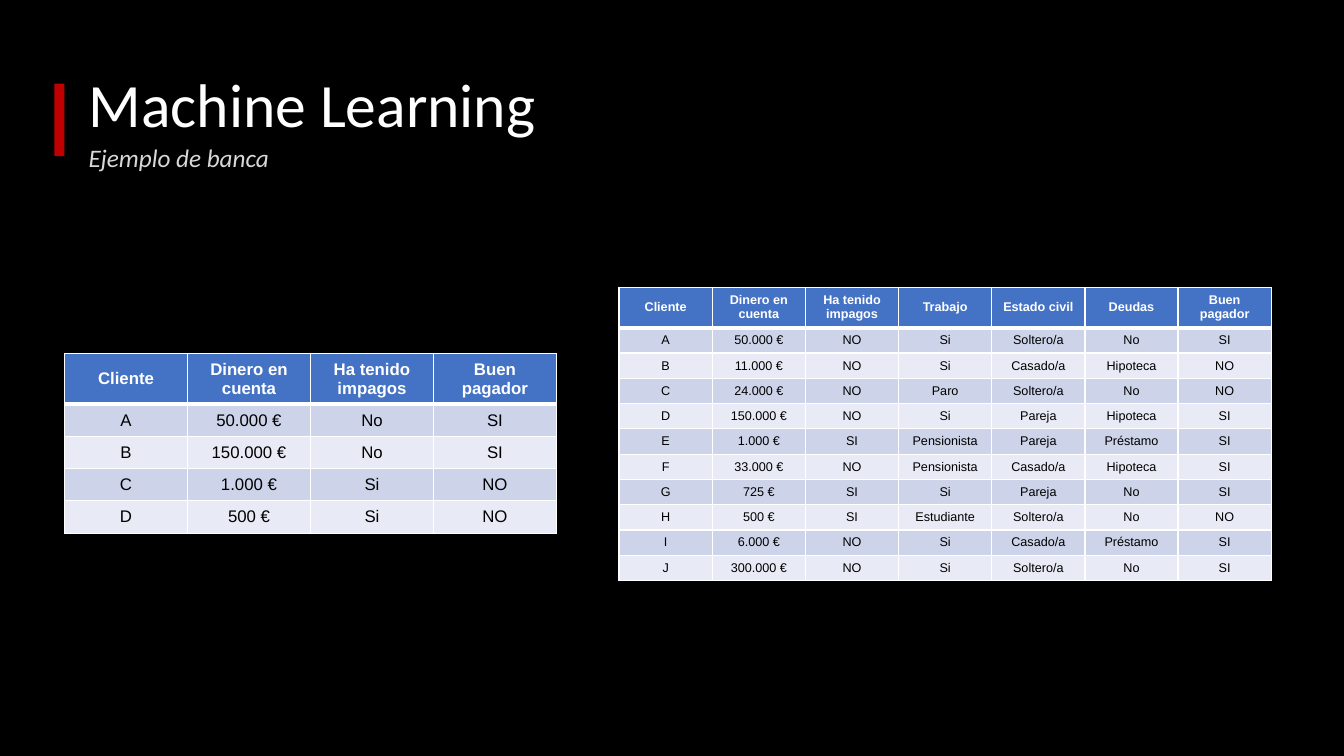
from dataclasses import dataclass

from lxml import etree
from pptx import Presentation
from pptx import util as u
from pptx.dml.color import RGBColor
from pptx.enum import shapes, text
from pptx.oxml import ns


@dataclass(frozen=True)
class Theme:
    background: str = "000000"
    accent: str = "C00000"
    title: str = "FFFFFF"
    subtitle: str = "D8D8D8"
    header_fill: str = "4472C4"
    header_text: str = "FFFFFF"
    body_text: str = "000000"
    odd_fill: str = "CDD4EA"
    even_fill: str = "E8EBF5"
    border: str = "FFFFFF"
    heading_font: str = "Calibri"
    table_font: str = "Arial"
    title_size: int = 44
    subtitle_size: int = 18
    large_table_size: int = 12
    small_table_size: int = 9
    thin_line: int = 1
    thick_line: int = 3


THEME = Theme()


@dataclass(frozen=True)
class TextStyle:
    font: str
    size: int
    color: str
    bold: bool = False
    italic: bool = False


@dataclass(frozen=True)
class Heading:
    words: str
    left: float
    top: float
    width: float
    height: float
    anchor: text.MSO_ANCHOR
    style: TextStyle


@dataclass(frozen=True)
class ClientTable:
    left: float
    top: float
    width: float
    header_height: float
    row_height: float
    size: int
    rows: list[tuple[str, ...]]


HEADINGS = [
    Heading("Machine Learning", 0.78, 0.34, 11.5, 1.45, text.MSO_ANCHOR.MIDDLE,
            TextStyle(THEME.heading_font, THEME.title_size, THEME.title)),
    Heading("Ejemplo de banca", 0.78, 1.4, 6, 0.52, text.MSO_ANCHOR.TOP,
            TextStyle(THEME.heading_font, THEME.subtitle_size, THEME.subtitle, italic=True)),
]

TABLES = [
    ClientTable(0.64, 3.51, 4.88, 0.47, 0.32, THEME.large_table_size, [
        ("Cliente", "Dinero en cuenta", "Ha tenido impagos", "Buen pagador"),
        ("A", "50.000 €", "No", "SI"),
        ("B", "150.000 €", "No", "SI"),
        ("C", "1.000 €", "Si", "NO"),
        ("D", "500 €", "Si", "NO"),
    ]),
    ClientTable(6.14, 2.85, 6.47, 0.38, 0.24, THEME.small_table_size, [
        ("Cliente", "Dinero en cuenta", "Ha tenido impagos", "Trabajo",
         "Estado civil", "Deudas", "Buen pagador"),
        ("A", "50.000 €", "NO", "Si", "Soltero/a", "No", "SI"),
        ("B", "11.000 €", "NO", "Si", "Casado/a", "Hipoteca", "NO"),
        ("C", "24.000 €", "NO", "Paro", "Soltero/a", "No", "NO"),
        ("D", "150.000 €", "NO", "Si", "Pareja", "Hipoteca", "SI"),
        ("E", "1.000 €", "SI", "Pensionista", "Pareja", "Préstamo", "SI"),
        ("F", "33.000 €", "NO", "Pensionista", "Casado/a", "Hipoteca", "SI"),
        ("G", "725 €", "SI", "Si", "Pareja", "No", "SI"),
        ("H", "500 €", "SI", "Estudiante", "Soltero/a", "No", "NO"),
        ("I", "6.000 €", "NO", "Si", "Casado/a", "Préstamo", "SI"),
        ("J", "300.000 €", "NO", "Si", "Soltero/a", "No", "SI"),
    ]),
]


def add_run(paragraph, words: str, style: TextStyle) -> None:
    run = paragraph.add_run()
    run.text = words
    run.font.name = style.font
    run.font.size = u.Pt(style.size)
    run.font.bold = style.bold
    run.font.italic = style.italic
    run.font.color.rgb = RGBColor.from_string(style.color)


def add_heading(slide, heading: Heading) -> None:
    box = slide.shapes.add_textbox(u.Inches(heading.left), u.Inches(heading.top),
                                   u.Inches(heading.width), u.Inches(heading.height))
    frame = box.text_frame
    frame.word_wrap = True
    frame.vertical_anchor = heading.anchor
    paragraph = frame.paragraphs[0]
    paragraph.line_spacing = 0.9
    add_run(paragraph, heading.words, heading.style)


def add_accent_bar(slide) -> None:
    shape = slide.shapes.add_shape(shapes.MSO_SHAPE.RECTANGLE, u.Inches(0.54), u.Inches(0.83),
                                   u.Inches(0.1), u.Inches(0.72))
    shape.shadow.inherit = False
    shape.fill.solid()
    shape.fill.fore_color.rgb = RGBColor.from_string(THEME.accent)
    shape.line.fill.background()


def set_borders(cell, top: int, bottom: int) -> None:
    properties = cell._tc.get_or_add_tcPr()
    widths = {"a:lnL": THEME.thin_line, "a:lnR": THEME.thin_line, "a:lnT": top, "a:lnB": bottom}
    for position, (tag, width) in enumerate(widths.items()):
        line = etree.Element(ns.qn(tag), w=str(u.Pt(width)))
        fill = etree.SubElement(line, ns.qn("a:solidFill"))
        etree.SubElement(fill, ns.qn("a:srgbClr"), val=THEME.border)
        properties.insert(position, line)


def fill_cell(cell, words: str, fill: str, style: TextStyle) -> None:
    cell.fill.solid()
    cell.fill.fore_color.rgb = RGBColor.from_string(fill)
    cell.vertical_anchor = text.MSO_ANCHOR.MIDDLE
    cell.margin_left = cell.margin_right = u.Inches(0.09)
    paragraph = cell.text_frame.paragraphs[0]
    paragraph.alignment = text.PP_ALIGN.CENTER
    add_run(paragraph, words, style)


def add_client_table(slide, client_table: ClientTable) -> None:
    rows = client_table.rows
    column_count = len(rows[0])
    height = client_table.header_height + client_table.row_height * (len(rows) - 1)
    table = slide.shapes.add_table(len(rows), column_count, u.Inches(client_table.left),
                                   u.Inches(client_table.top), u.Inches(client_table.width),
                                   u.Inches(height)).table
    for column in table.columns:
        column.width = u.Inches(client_table.width / column_count)
    header_style = TextStyle(THEME.table_font, client_table.size, THEME.header_text, bold=True)
    body_style = TextStyle(THEME.table_font, client_table.size, THEME.body_text)
    for row_index, row in enumerate(rows):
        is_header = row_index == 0
        table.rows[row_index].height = u.Inches(
            client_table.header_height if is_header else client_table.row_height)
        band = THEME.odd_fill if row_index % 2 else THEME.even_fill
        for column_index, words in enumerate(row):
            cell = table.cell(row_index, column_index)
            fill_cell(cell, words, THEME.header_fill if is_header else band,
                      header_style if is_header else body_style)
            set_borders(cell, THEME.thick_line if row_index == 1 else THEME.thin_line,
                        THEME.thick_line if is_header else THEME.thin_line)


def main() -> None:
    presentation = Presentation()
    presentation.slide_width = u.Inches(13.33)
    presentation.slide_height = u.Inches(7.5)
    slide = presentation.slides.add_slide(presentation.slide_layouts[6])
    slide.background.fill.solid()
    slide.background.fill.fore_color.rgb = RGBColor.from_string(THEME.background)
    for heading in HEADINGS:
        add_heading(slide, heading)
    add_accent_bar(slide)
    for client_table in TABLES:
        add_client_table(slide, client_table)
    presentation.save("out.pptx")


if __name__ == "__main__":
    main()
